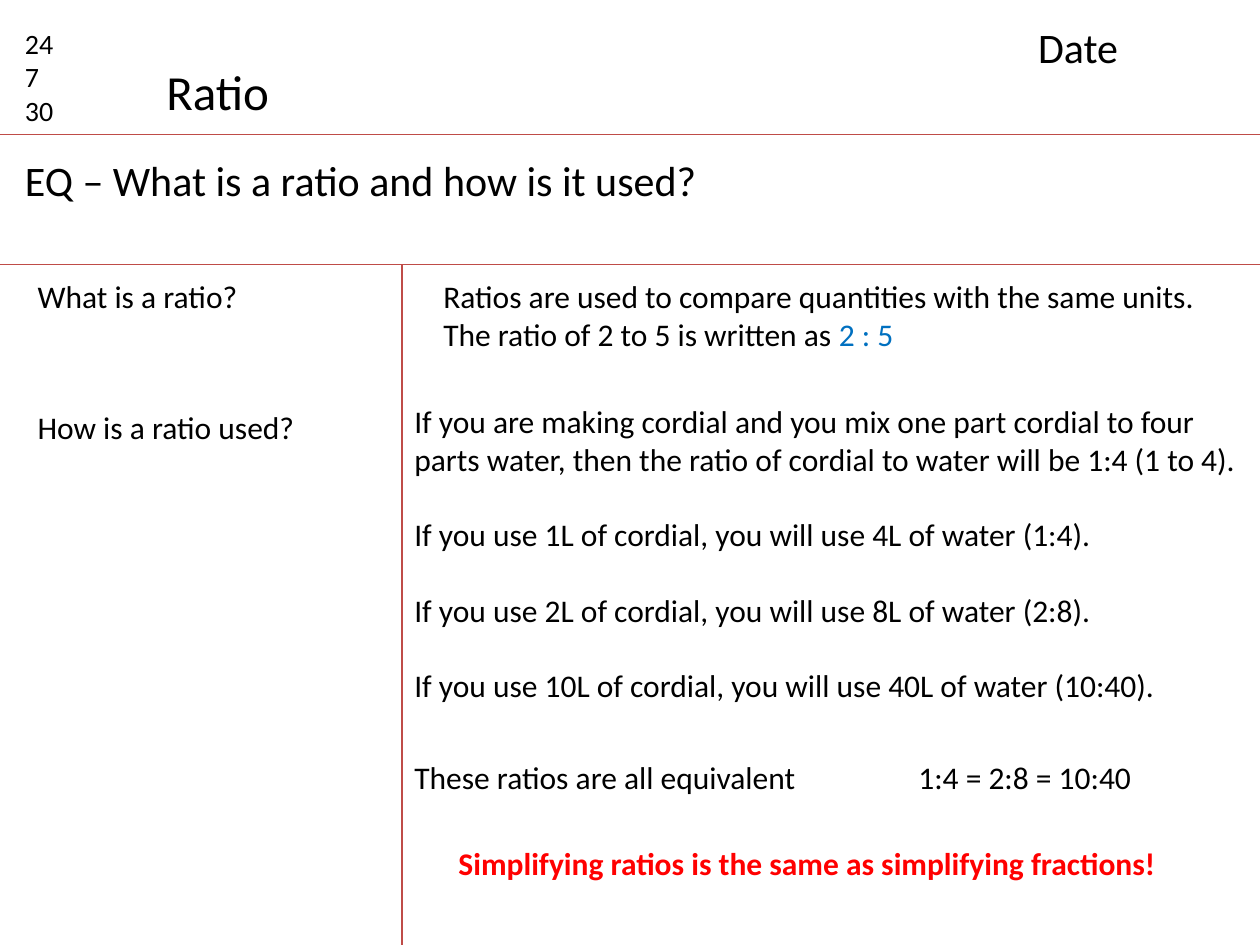
from lxml import etree
from pptx import Presentation
from pptx import util as u
from pptx.dml.color import RGBColor
from pptx.enum import shapes, text
from pptx.oxml.ns import qn

WIDTH, HEIGHT = 10, 7.5
HEADER_Y, QUESTION_Y = 1.07, 2.1   # horizontal rules
LEFT, CUE_X, NOTES_X = 0.1, 0.2, 3.19
FONT = "Calibri"
COLORS = {"text": "000000", "rule": "BF4C48", "ratio": "0070C0", "key": "FF0000"}


def color(name):
    return RGBColor.from_string(COLORS[name])


def add_rule(slide, x1, y1, x2, y2):
    rule = slide.shapes.add_connector(
        shapes.MSO_CONNECTOR.STRAIGHT, *(u.Inches(v) for v in (x1, y1, x2, y2)))
    rule.line.color.rgb = color("rule")
    rule.line.width = u.Pt(0.75)
    etree.SubElement(rule._element.spPr, qn("a:effectLst"))


def add_tab_stop(paragraph, inches):
    tabs = etree.SubElement(paragraph._p.get_or_add_pPr(), qn("a:tabLst"))
    etree.SubElement(tabs, qn("a:tab"), pos=str(u.Inches(inches)), algn="l")


def write(shape, box, paragraphs, size, wrap=True, gap=0, tab=None,
          shade="text", bold=False):
    """Place a shape and fill it; a paragraph is a list of (words, color) runs or a string."""
    shape.left, shape.top, shape.width, shape.height = (u.Inches(v) for v in box)
    frame = shape.text_frame
    frame.word_wrap = wrap
    frame.auto_size = text.MSO_AUTO_SIZE.NONE
    frame.vertical_anchor = text.MSO_ANCHOR.TOP
    for index, content in enumerate(paragraphs):
        paragraph = frame.add_paragraph() if index else frame.paragraphs[0]
        paragraph.alignment = text.PP_ALIGN.LEFT
        if index and gap:
            paragraph.space_before = u.Pt(gap)
        if tab:
            add_tab_stop(paragraph, tab)
        paragraph.font.name = FONT
        paragraph.font.size = u.Pt(size)
        paragraph.font.bold = bold
        paragraph.font.color.rgb = color(shade)
        runs = [(content, None)] if isinstance(content, str) else content
        for words, run_shade in runs:
            run = paragraph.add_run()
            run.text = words
            if run_shade:
                run.font.color.rgb = color(run_shade)


def add_text(slide, box, paragraphs, size=18, **options):
    shape = slide.shapes.add_textbox(0, 0, 0, 0)
    write(shape, box, paragraphs, size, **options)


def main():
    presentation = Presentation()
    presentation.slide_width = u.Inches(WIDTH)
    presentation.slide_height = u.Inches(HEIGHT)
    slide = presentation.slides.add_slide(presentation.slide_layouts[5])

    # Page rules
    for y in (HEADER_Y, QUESTION_Y):
        add_rule(slide, 0, y, WIDTH, y)
    add_rule(slide, NOTES_X, QUESTION_Y, NOTES_X, HEIGHT)

    # Header and essential question
    write(slide.shapes.title, (1.22, 0.44, 1.03, 0.57), ["Ratio"], 28, wrap=False)
    add_text(slide, (LEFT, 0.16, 0.63, 0.91), ["24", "7", "30"], 16)
    add_text(slide, (8.14, 0.12, 1.73, 0.5), ["Date"], 24)
    add_text(slide, (LEFT, 1.18, 9.43, 0.5),
             ["EQ – What is a ratio and how is it used?"], 24)

    # Cue column
    add_text(slide, (CUE_X, 2.15, 1.81, 0.4), ["What is a ratio?"], wrap=False)
    add_text(slide, (CUE_X, 3.19, 2.83, 0.4), ["How is a ratio used?"])

    # Notes column
    add_text(slide, (3.42, 2.15, 6.24, 0.7), [
        "Ratios are used to compare quantities with the same units.",
        [("The ratio of 2 to 5 is written as ", None), ("2 : 5", "ratio")],
    ], wrap=False)
    examples = [(1, 4), (2, 8), (10, 40)]
    add_text(slide, (NOTES_X, 3.14, WIDTH - NOTES_X, 2.52), [
        "If you are making cordial and you mix one part cordial to four "
        "parts water, then the ratio of cordial to water will be 1:4 (1 to 4).",
        *(f"If you use {cordial}L of cordial, you will use {water}L of water "
          f"({cordial}:{water})." for cordial, water in examples),
    ], gap=21.6)
    equivalents = " = ".join(f"{cordial}:{water}" for cordial, water in examples)
    add_text(slide, (NOTES_X, 5.97, 5.98, 0.4),
             [f"These ratios are all equivalent\t{equivalents}"], tab=4)
    add_text(slide, (3.54, 6.65, 5.98, 0.4),
             ["Simplifying ratios is the same as simplifying fractions!"],
             shade="key", bold=True)

    presentation.save("out.pptx")


if __name__ == "__main__":
    main()
